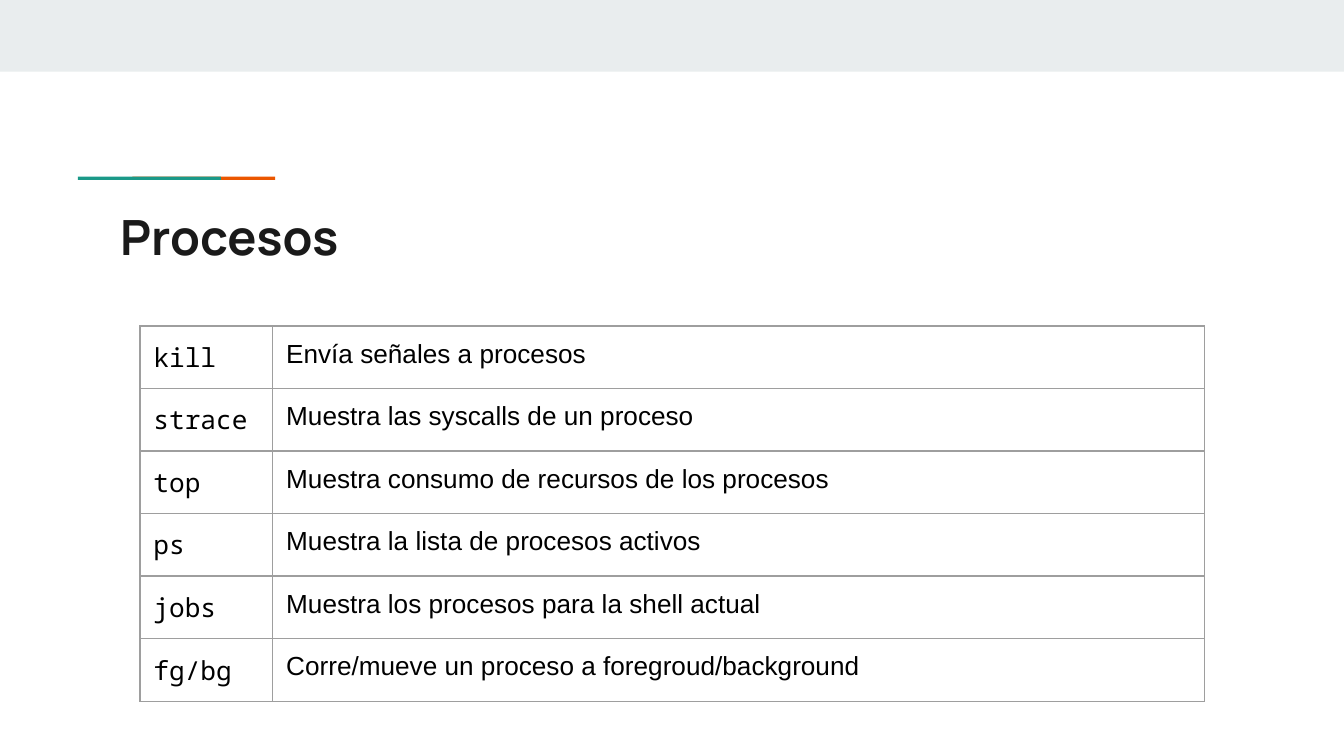
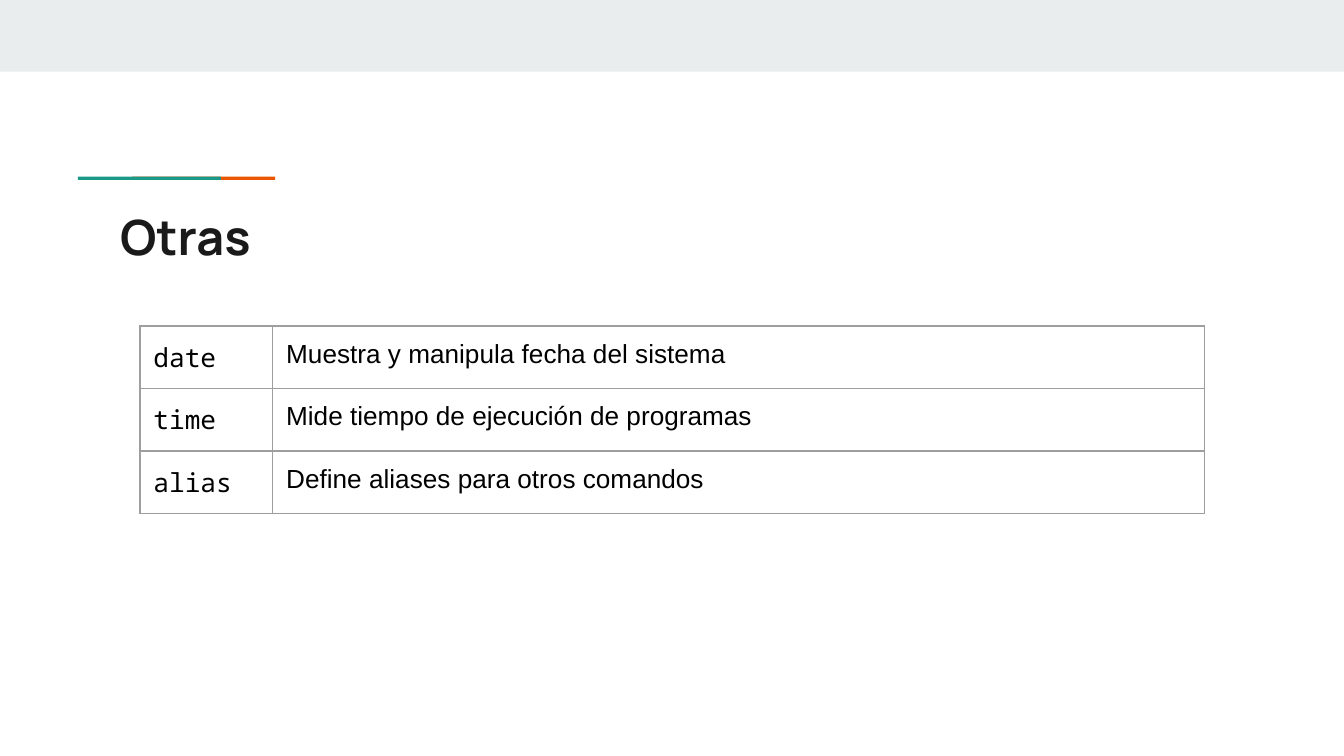
from dataclasses import dataclass

from lxml import etree
from pptx import Presentation
from pptx import util as u
from pptx.dml.color import RGBColor
from pptx.enum import shapes, text
from pptx.oxml import ns

Pt = u.Pt


# Colours, fonts and type sizes
@dataclass(frozen=True)
class Theme:
    paper: str = "FFFFFF"
    band: str = "E9EDEE"
    teal: str = "1A9988"
    orange: str = "EB5600"
    title: str = "1A1A1A"
    body: str = "000000"
    border: str = "9E9E9E"
    head: str = "Manrope"
    mono: str = "Noto Sans Mono"
    sans: str = "Arial"
    big: float = 26
    small: float = 14
    edge: float = 0.75
    inset: float = 7.2


@dataclass(frozen=True)
class Bar:
    left: float
    top: float
    width: float
    height: float
    color: str


@dataclass(frozen=True)
class Page:
    title: str
    rows: tuple[tuple[str, str], ...]


THEME = Theme()
WIDTH, HEIGHT = 720, 405
# The teal bar lies over the start of the orange one
BARS = (
    Bar(0, 0, WIDTH, 38.4, THEME.band),
    Bar(70.9, 94.7, 76.6, 1.7, THEME.orange),
    Bar(41.8, 94.7, 76.6, 1.7, THEME.teal),
)
TITLE_BOX = {"left": 57.2, "top": 103.7, "width": 605.5, "height": 42.5}
LEFT, TOP = 75, 174.6
COLS = (71.1, 499)
ROW = 30.2

PAGES = (
    Page("Procesos", (
        ("kill", "Envía señales a procesos"),
        ("strace", "Muestra las syscalls de un proceso"),
        ("top", "Muestra consumo de recursos de los procesos"),
        ("ps", "Muestra la lista de procesos activos"),
        ("jobs", "Muestra los procesos para la shell actual"),
        ("fg/bg", "Corre/mueve un proceso a foregroud/background"),
    )),
    Page("Otras", (
        ("date", "Muestra y manipula fecha del sistema"),
        ("time", "Mide tiempo de ejecución de programas"),
        ("alias", "Define aliases para otros comandos"),
    )),
)


# Formatting helpers
def apply(item, values: dict) -> None:
    for name, value in values.items():
        setattr(item, name, value)


def write(frame, words: str, font: str, size: float, color: str,
          bold: bool = False) -> None:
    line = frame.paragraphs[0]
    line.alignment = text.PP_ALIGN.LEFT
    run = line.add_run()
    run.text = words
    apply(run.font, {"name": font, "size": Pt(size), "bold": bold})
    run.font.color.rgb = RGBColor.from_string(color)


def margins() -> dict:
    sides = ("left", "top", "right", "bottom")
    return {f"margin_{side}": Pt(THEME.inset) for side in sides}


def outline(cell) -> None:
    props = cell._tc.get_or_add_tcPr()
    for spot, side in enumerate(("lnL", "lnR", "lnT", "lnB")):
        line = etree.Element(ns.qn(f"a:{side}"), w=str(Pt(THEME.edge)))
        fill = etree.SubElement(line, ns.qn("a:solidFill"))
        etree.SubElement(fill, ns.qn("a:srgbClr"), val=THEME.border)
        props.insert(spot, line)


# Slide parts
def draw_bar(slide, bar: Bar) -> None:
    box = slide.shapes.add_shape(
        shapes.MSO_SHAPE.RECTANGLE, Pt(bar.left), Pt(bar.top),
        Pt(bar.width), Pt(bar.height))
    box.shadow.inherit = False
    box.fill.solid()
    box.fill.fore_color.rgb = RGBColor.from_string(bar.color)
    box.line.fill.background()


def draw_title(slide, words: str) -> None:
    title = slide.shapes.title
    apply(title, {name: Pt(size) for name, size in TITLE_BOX.items()})
    frame = title.text_frame
    apply(frame, margins() | {
        "word_wrap": True,
        "auto_size": text.MSO_AUTO_SIZE.NONE,
        "vertical_anchor": text.MSO_ANCHOR.TOP,
    })
    write(frame, words, THEME.head, THEME.big, THEME.title, bold=True)


def draw_table(slide, rows: tuple[tuple[str, str], ...]) -> None:
    grid = slide.shapes.add_table(
        len(rows), len(COLS), Pt(LEFT), Pt(TOP),
        Pt(sum(COLS)), Pt(ROW * len(rows))).table
    apply(grid, {"first_row": False, "horz_banding": False})
    for col, width in zip(grid.columns, COLS):
        col.width = Pt(width)
    for row, entry in zip(grid.rows, rows):
        row.height = Pt(ROW)
        for cell, words, font in zip(row.cells, entry, (THEME.mono, THEME.sans)):
            apply(cell, margins() | {"vertical_anchor": text.MSO_ANCHOR.TOP})
            cell.fill.background()
            outline(cell)
            write(cell.text_frame, words, font, THEME.small, THEME.body)


def draw_page(deck, page: Page) -> None:
    slide = deck.slides.add_slide(deck.slide_layouts.get_by_name("Title Only"))
    slide.background.fill.solid()
    slide.background.fill.fore_color.rgb = RGBColor.from_string(THEME.paper)
    for bar in BARS:
        draw_bar(slide, bar)
    draw_title(slide, page.title)
    draw_table(slide, page.rows)


def main() -> None:
    deck = Presentation()
    apply(deck, {"slide_width": Pt(WIDTH), "slide_height": Pt(HEIGHT)})
    for page in PAGES:
        draw_page(deck, page)
    deck.save("out.pptx")


if __name__ == "__main__":
    main()
